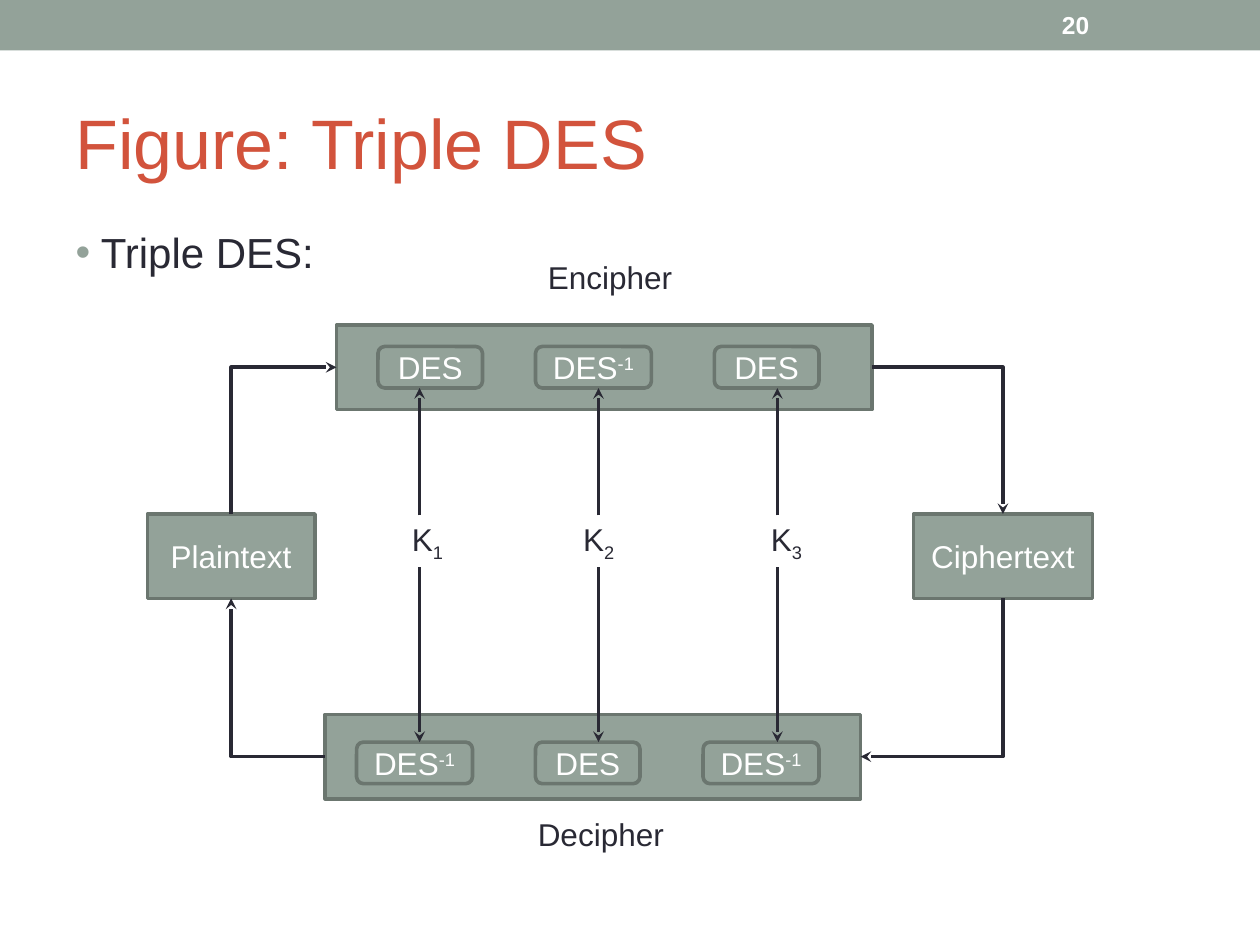
from dataclasses import dataclass

from lxml import etree
from pptx import Presentation
from pptx.dml.color import RGBColor
from pptx.enum.shapes import MSO_CONNECTOR, MSO_SHAPE
from pptx.enum.text import MSO_ANCHOR, MSO_AUTO_SIZE, PP_ALIGN
from pptx.oxml.ns import qn
from pptx.util import Inches, Pt

RECTANGLE = MSO_SHAPE.RECTANGLE
PROCESS = MSO_SHAPE.FLOWCHART_PROCESS
ROUNDED = MSO_SHAPE.FLOWCHART_ALTERNATE_PROCESS
STRAIGHT, ELBOW = MSO_CONNECTOR.STRAIGHT, MSO_CONNECTOR.ELBOW
TOP, MIDDLE = MSO_ANCHOR.TOP, MSO_ANCHOR.MIDDLE
LEFT, CENTER = PP_ALIGN.LEFT, PP_ALIGN.CENTER
NO_AUTOFIT = MSO_AUTO_SIZE.NONE


@dataclass(frozen=True)
class Theme:
    font: str = "Arial"
    sage: str = "93A299"
    border: str = "6B766F"
    ink: str = "292934"
    accent: str = "D2533C"
    white: str = "FFFFFF"
    title_size: int = 40
    body_size: int = 24
    label_size: int = 18
    number_size: int = 14
    line_width: float = 2.08
    superscript: int = 30000
    subscript: int = -25000


@dataclass(frozen=True)
class Box:
    left: float
    top: float
    width: float
    height: float

    @property
    def right(self):
        return self.left + self.width

    @property
    def bottom(self):
        return self.top + self.height

    @property
    def center(self):
        return self.left + self.width / 2

    @property
    def middle(self):
        return self.top + self.height / 2

    def inside(self, left, top, width, height):
        return Box(self.left + left, self.top + top, width, height)

    def lengths(self):
        return [Inches(v) for v in (self.left, self.top, self.width, self.height)]


THEME = Theme()
DES = [("DES", 0)]
INVERSE = [("DES", 0), ("-1", THEME.superscript)]


def write(shape, parts, size, color, anchor=TOP, align=LEFT, bold=False):
    """Write (text, baseline) parts as the runs of one paragraph."""
    frame = shape.text_frame
    frame.word_wrap = True
    frame.auto_size = NO_AUTOFIT
    frame.vertical_anchor = anchor
    paragraph = frame.paragraphs[0]
    paragraph.alignment = align
    for text, baseline in parts:
        run = paragraph.add_run()
        run.text = text
        run.font.name = THEME.font
        run.font.size = Pt(size)
        run.font.bold = bold
        run.font.color.rgb = RGBColor.from_string(color)
        if baseline:
            run.font._element.set("baseline", str(baseline))
    return paragraph


def add_label(slide, box, parts, size=THEME.label_size, color=THEME.ink, **style):
    return write(slide.shapes.add_textbox(*box.lengths()), parts, size, color, **style)


def add_block(slide, kind, box, parts=(), border=True):
    shape = slide.shapes.add_shape(kind, *box.lengths())
    shape.shadow.inherit = False
    shape.fill.solid()
    shape.fill.fore_color.rgb = RGBColor.from_string(THEME.sage)
    if border:
        shape.line.color.rgb = RGBColor.from_string(THEME.border)
        shape.line.width = Pt(THEME.line_width)
    else:
        shape.line.fill.background()
    write(shape, parts, THEME.label_size, THEME.white, MIDDLE, CENTER)


def add_arrow(slide, start, end, kind=STRAIGHT):
    connector = slide.shapes.add_connector(kind, *[Inches(v) for v in (*start, *end)])
    connector.line.color.rgb = RGBColor.from_string(THEME.ink)
    connector.line.width = Pt(THEME.line_width)
    properties = connector._element.spPr
    line = properties.find(qn("a:ln"))
    etree.SubElement(line, qn("a:tailEnd"), type="stealth")
    etree.SubElement(properties, qn("a:effectLst"))
    return properties


def add_corner_arrow(slide, start, end, rotation=0):
    """One-bend arrow; a quarter turn makes it leave vertically."""
    if rotation:
        center_x, center_y = (start[0] + end[0]) / 2, (start[1] + end[1]) / 2
        half_x, half_y = abs(end[1] - start[1]) / 2, abs(end[0] - start[0]) / 2
        start = center_x - half_x, center_y - half_y
        end = center_x + half_x, center_y + half_y
    properties = add_arrow(slide, start, end, ELBOW)
    properties.find(qn("a:prstGeom")).set("prst", "bentConnector2")
    if rotation:
        properties.find(qn("a:xfrm")).set("rot", str(rotation * 60000))


def add_header(slide, box):
    add_block(slide, RECTANGLE, box, border=False)
    add_label(slide, box.inside(8.33, 0.02, 1.17, 0.36), [("20", 0)],
              THEME.number_size, THEME.white, anchor=MIDDLE, bold=True)


def place(shape, box):
    shape.left, shape.top, shape.width, shape.height = box.lengths()


def add_title(slide, box):
    title = slide.shapes.title
    place(title, box)
    write(title, [("Figure: Triple DES", 0)], THEME.title_size, THEME.accent, MIDDLE)


def add_body(slide, box):
    body = slide.placeholders[1]
    place(body, box)
    paragraph = write(body, [("Triple DES:", 0)], THEME.body_size, THEME.ink)
    paragraph.space_before = Pt(3)
    properties = paragraph._element.get_or_add_pPr()
    properties.set("marL", str(Inches(0.2)))
    properties.set("indent", str(Inches(-0.2)))
    bullet_color = etree.SubElement(properties, qn("a:buClr"))
    etree.SubElement(bullet_color, qn("a:srgbClr"), val=THEME.sage)
    etree.SubElement(properties, qn("a:buFont"), typeface=THEME.font)
    etree.SubElement(properties, qn("a:buChar"), char="•")


def add_stage(slide, box, cell_top, cells):
    """A cipher stage holding its three DES steps."""
    add_block(slide, PROCESS, box)
    for offset, parts in cells:
        width = 0.92 if parts is INVERSE else 0.83
        add_block(slide, ROUNDED, box.inside(offset, cell_top, width, 0.33), parts)


def add_keys(slide, box, upper, lower):
    """Key names with arrows up and down to the DES steps."""
    parts = []
    for number in "123":
        parts += [("\tK", 0), (number, THEME.subscript)]
    paragraph = add_label(slide, box, parts)
    tabs = etree.SubElement(paragraph._element.get_or_add_pPr(), qn("a:tabLst"))
    for index, position in enumerate((0.42, 1.78, 3.27)):
        etree.SubElement(tabs, qn("a:tab"), pos=str(Inches(position)), algn="l")
        column = box.left + 0.58 + 1.42 * index
        add_arrow(slide, (column, box.top + 0.01), (column, upper))
        add_arrow(slide, (column, box.bottom + 0.02), (column, lower))


def add_diagram(slide, box):
    encipher = box.inside(1.5, 0.58, 4.25, 0.67)
    decipher = box.inside(1.41, 3.67, 4.25, 0.67)
    plaintext = box.inside(0, 2.08, 1.33, 0.67)
    ciphertext = box.inside(6.08, 2.08, 1.42, 0.67)

    # Stages and the texts they turn into each other
    add_stage(slide, encipher, 0.17, [(0.33, DES), (1.58, INVERSE), (3, DES)])
    add_stage(slide, decipher, 0.22, [(0.25, INVERSE), (1.67, DES), (3, INVERSE)])
    add_block(slide, PROCESS, plaintext, [("Plaintext", 0)])
    add_block(slide, PROCESS, ciphertext, [("Ciphertext", 0)])
    add_keys(slide, box.inside(1.58, 2.08, 4.25, 0.4), encipher.top + 0.5, decipher.top + 0.22)

    # Loop of corner arrows
    add_corner_arrow(slide, (plaintext.center, plaintext.top), (encipher.left, encipher.middle), 270)
    add_corner_arrow(slide, (encipher.right, encipher.middle), (ciphertext.center, ciphertext.top))
    add_corner_arrow(slide, (ciphertext.center, ciphertext.bottom), (decipher.right, decipher.middle), 90)
    add_corner_arrow(slide, (decipher.left, decipher.middle), (plaintext.center, plaintext.bottom))

    # Stage names
    add_label(slide, encipher.inside(1.58, -0.58, 1.33, 0.4), [("Encipher", 0)])
    add_label(slide, decipher.inside(1.59, 0.75, 1.33, 0.4), [("Decipher", 0)])


def main():
    presentation = Presentation()
    presentation.slide_width, presentation.slide_height = Inches(10), Inches(7.5)
    slide = presentation.slides.add_slide(presentation.slide_layouts[1])
    add_header(slide, Box(0, 0, 10, 0.4))
    add_title(slide, Box(0.5, 0.58, 9, 1.08))
    add_body(slide, Box(0.5, 1.75, 9, 5.33))
    add_diagram(slide, Box(1.17, 2, 7.5, 4.82))
    presentation.save("out.pptx")


if __name__ == "__main__":
    main()
